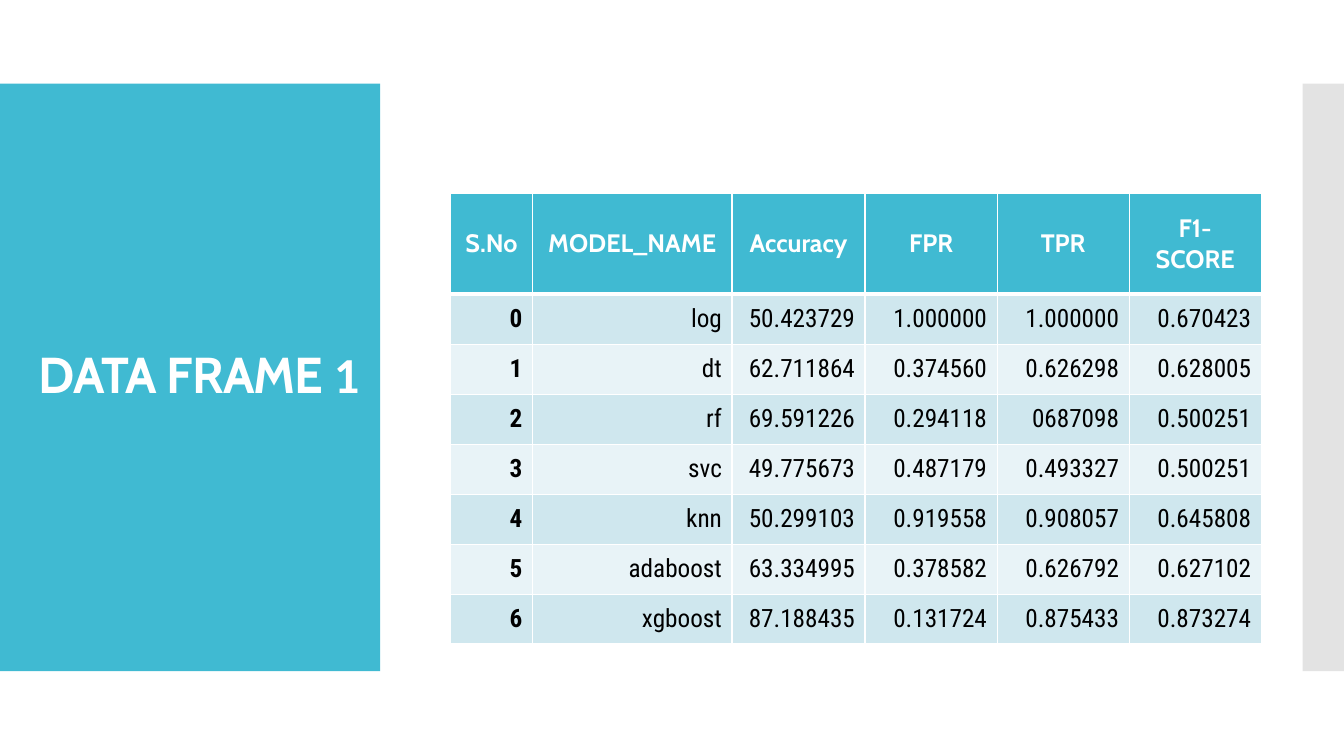
"""Build the DATA FRAME 1 slide: a title panel beside a table of model scores."""
from dataclasses import dataclass

from lxml.etree import SubElement
from pptx import Presentation
from pptx.dml.color import RGBColor
from pptx.enum.shapes import MSO_SHAPE
from pptx.enum.text import MSO_ANCHOR, MSO_AUTO_SIZE, PP_ALIGN
from pptx.oxml.ns import qn
from pptx.shapes.autoshape import Shape
from pptx.slide import Slide
from pptx.table import _Cell
from pptx.util import Inches, Pt

TEAL, WHITE, BLACK = "40BAD2", "FFFFFF", "000000"
BANDS = ("CFE7EE", "E8F3F7")
HEADER_HEIGHT, TABLE_HEIGHT = 1.0, 4.47


@dataclass(frozen=True)
class Panel:
    left: float
    width: float
    color: str


@dataclass(frozen=True)
class Column:
    heading: str
    width: float


@dataclass(frozen=True)
class CellStyle:
    fill: str
    font_name: str
    font_color: str
    bold: bool
    alignment: PP_ALIGN
    top_line: int = 1
    bottom_line: int = 1


PANELS = (Panel(0, 3.77, TEAL), Panel(12.92, 0.41, "E3E3E3"))
COLUMNS = (
    Column("S.No", 0.81),
    Column("MODEL_NAME", 1.98),
    Column("Accuracy", 1.32),
    Column("FPR", 1.31),
    Column("TPR", 1.31),
    Column("F1-SCORE", 1.31),
)
SCORES = (
    ("log", "50.423729", "1.000000", "1.000000", "0.670423"),
    ("dt", "62.711864", "0.374560", "0.626298", "0.628005"),
    ("rf", "69.591226", "0.294118", "0687098", "0.500251"),
    ("svc", "49.775673", "0.487179", "0.493327", "0.500251"),
    ("knn", "50.299103", "0.919558", "0.908057", "0.645808"),
    ("adaboost", "63.334995", "0.378582", "0.626792", "0.627102"),
    ("xgboost", "87.188435", "0.131724", "0.875433", "0.873274"),
)


def rgb(color: str) -> RGBColor:
    return RGBColor.from_string(color)


def add_panel(slide: Slide, panel: Panel) -> Shape:
    shape = slide.shapes.add_shape(
        MSO_SHAPE.RECTANGLE, Inches(panel.left), Inches(0.83), Inches(panel.width), Inches(5.83)
    )
    shape.shadow.inherit = False
    shape.fill.solid()
    shape.fill.fore_color.rgb = rgb(panel.color)
    shape.line.fill.background()
    return shape


def format_title(title: Shape) -> None:
    title.left, title.top = Inches(0.28), Inches(1.23)
    title.width, title.height = Inches(3.42), Inches(5.03)
    frame = title.text_frame
    frame.auto_size = MSO_AUTO_SIZE.NONE
    frame.word_wrap = True
    frame.vertical_anchor = MSO_ANCHOR.MIDDLE
    paragraph = frame.paragraphs[0]
    paragraph.alignment = PP_ALIGN.LEFT
    paragraph.line_spacing = 0.9
    paragraph.font.size = Pt(36)
    paragraph.font.bold = True
    paragraph.font.color.rgb = rgb(WHITE)
    for text, font_name in (("DATA FRAME ", "Cabin"), ("1", "Calibri")):
        run = paragraph.add_run()
        run.text = text
        run.font.name = font_name
        run.font.element.set("spc", "-60") if hasattr(run.font, "element") else \
            run._r.get_or_add_rPr().set("spc", "-60")


def set_borders(cell: _Cell, top: int, bottom: int) -> None:
    properties = cell._tc.get_or_add_tcPr()
    for side, width in (("L", 1), ("R", 1), ("T", top), ("B", bottom)):
        line = SubElement(properties, qn(f"a:ln{side}"), w=str(Pt(width)))
        fill = SubElement(line, qn("a:solidFill"))
        SubElement(fill, qn("a:srgbClr"), val=WHITE)


def fill_cell(cell: _Cell, text: str, style: CellStyle) -> None:
    set_borders(cell, style.top_line, style.bottom_line)
    cell.fill.solid()
    cell.fill.fore_color.rgb = rgb(style.fill)
    cell.vertical_anchor = MSO_ANCHOR.MIDDLE
    cell.text = text
    paragraph = cell.text_frame.paragraphs[0]
    paragraph.alignment = style.alignment
    paragraph.font.size = Pt(18)
    paragraph.font.name = style.font_name
    paragraph.font.bold = style.bold
    paragraph.font.color.rgb = rgb(style.font_color)


def add_score_table(slide: Slide) -> None:
    table = slide.shapes.add_table(
        len(SCORES) + 1, len(COLUMNS), Inches(4.47), Inches(1.92), Inches(8.04), Inches(TABLE_HEIGHT)
    ).table
    for row in table.rows:
        row.height = Inches((TABLE_HEIGHT - HEADER_HEIGHT) / len(SCORES))
    table.rows[0].height = Inches(HEADER_HEIGHT)

    header = CellStyle(TEAL, "Cabin", WHITE, True, PP_ALIGN.CENTER, bottom_line=3)
    for index, column in enumerate(COLUMNS):
        table.columns[index].width = Inches(column.width)
        fill_cell(table.cell(0, index), column.heading, header)

    for number, scores in enumerate(SCORES):
        for index, text in enumerate((str(number), *scores)):
            style = CellStyle(
                BANDS[number % 2], "Roboto Condensed", BLACK, index == 0, PP_ALIGN.RIGHT,
                top_line=3 if number == 0 else 1,
            )
            fill_cell(table.cell(number + 1, index), text, style)


def main() -> None:
    presentation = Presentation()
    presentation.slide_width, presentation.slide_height = Inches(13.33), Inches(7.5)
    slide = presentation.slides.add_slide(presentation.slide_layouts[5])
    title = slide.shapes.title
    panels = [add_panel(slide, panel) for panel in PANELS]
    panels[-1].element.addnext(title.element)
    format_title(title)
    add_score_table(slide)
    presentation.save("out.pptx")


if __name__ == "__main__":
    main()
